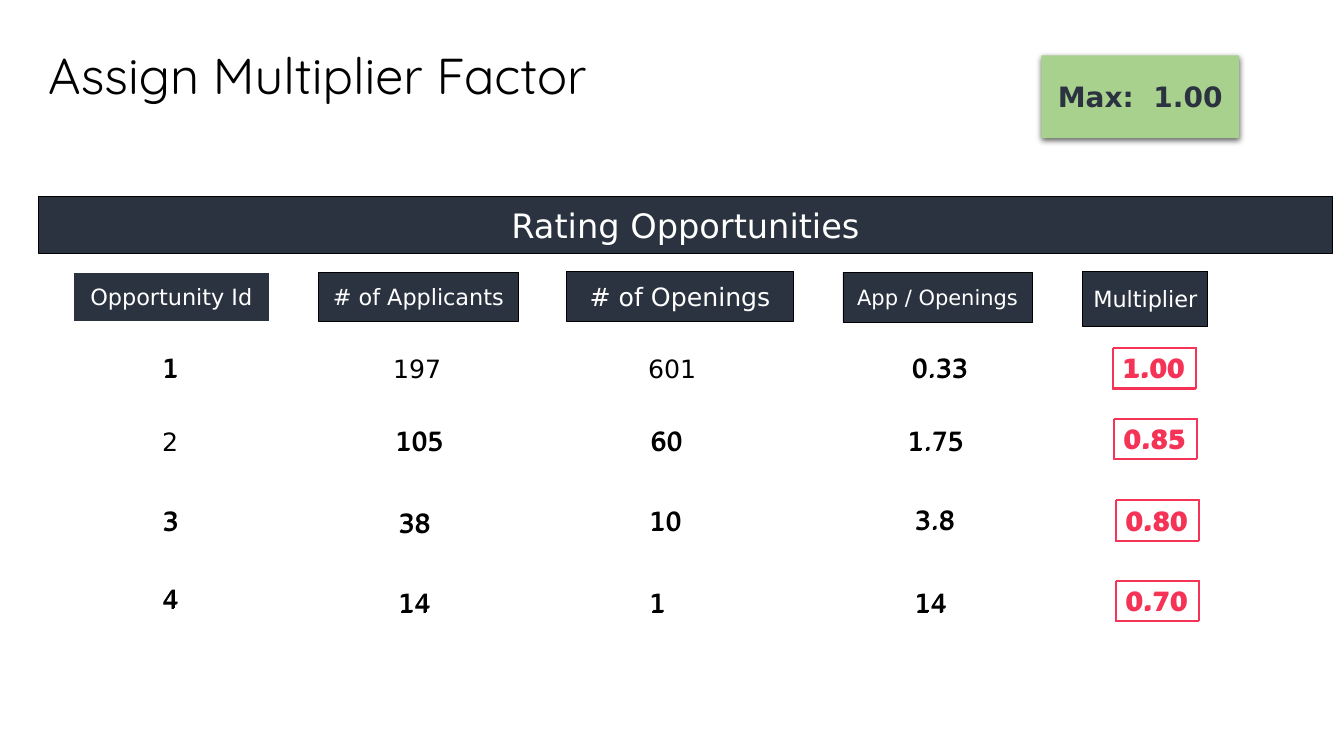
from lxml.etree import SubElement
from pptx import Presentation
from pptx.dml.color import RGBColor
from pptx.enum.shapes import MSO_SHAPE
from pptx.enum.text import MSO_ANCHOR, MSO_AUTO_SIZE, PP_ALIGN
from pptx.oxml.ns import qn
from pptx.util import Pt

PX = 9144  # 100 px to the inch
THEME = {
    "navy": "2B3340", "white": "FFFFFF", "black": "000000",
    "green": "A9D18E", "red": "F53357",
    "body": "DejaVu Sans", "head": "Quicksand",
    "title": 36, "band": 24, "max": 20, "cell": 18,
}


def write(shape, text, size, color, bold=False, align=PP_ALIGN.CENTER, font="body"):
    frame = shape.text_frame
    frame.word_wrap = True
    frame.vertical_anchor = MSO_ANCHOR.MIDDLE
    par = frame.paragraphs[0]
    par.text, par.alignment = text, align
    par.font.name = THEME[font]
    par.font.size = Pt(size)
    par.font.bold = bold
    par.font.color.rgb = RGBColor.from_string(THEME[color])
    return frame


def box(left, top, width, height, fill=None, line=None, weight=0.5):
    shape = slide.shapes.add_shape(
        MSO_SHAPE.RECTANGLE, left * PX, top * PX, width * PX, height * PX)
    shape.shadow.inherit = False
    if fill:
        shape.fill.solid()
        shape.fill.fore_color.rgb = RGBColor.from_string(THEME[fill])
    else:
        shape.fill.background()
    if line:
        shape.line.color.rgb = RGBColor.from_string(THEME[line])
        shape.line.width = Pt(weight)
    else:
        shape.line.fill.background()
    return shape


deck = Presentation()
deck.slide_width, deck.slide_height = 1333 * PX, 750 * PX
slide = deck.slides.add_slide(deck.slide_layouts[6])

# Column headers: text, left, top, width, height, size, line
heads = [
    ("# of Openings", 562, 269, 225, 50, 18, "black"),
    ("# of Applicants", 316, 270, 198, 49, 16, "black"),
    ("App / Openings", 836, 270, 188, 50, 15, "black"),
    ("Multiplier", 1074, 269, 124, 55, 16, "black"),
    ("Opportunity Id", 73, 270, 194, 49, 16, "white"),
]
for text, left, top, width, height, size, line in heads:
    write(box(left, top, width, height, "navy", line), text, size, "white")

# Band above the columns
band = box(38, 195, 1284, 56, "navy", "black")
write(band, "Rating Opportunities", THEME["band"], "white")

# Title
title = slide.shapes.add_textbox(38 * PX, 31 * PX, 1260 * PX, 94 * PX)
frame = write(title, "Assign Multiplier Factor", THEME["title"], "black",
              align=PP_ALIGN.LEFT, font="head")
frame.paragraphs[0].line_spacing = 0.9

# Highest multiplier, with a soft shadow below
peak = box(1033, 55, 196, 82, "green")
write(peak, "Max:  1.00", THEME["max"], "navy", bold=True)
glow = SubElement(peak._element.spPr.find(qn("a:effectLst")), qn("a:outerShdw"),
                  blurRad="57150", dist="19050", dir="5400000",
                  algn="ctr", rotWithShape="0")
tint = SubElement(glow, qn("a:srgbClr"), val=THEME["black"])
SubElement(tint, qn("a:alpha"), val="63000")

# Ratings: text, left, top in each row; the last one is the multiplier
rows = [
    [("1", 151, 346), ("197", 380, 346), ("601", 633, 346),
     ("0.33", 894, 346), ("1.00", 1103, 346)],
    [("2", 151, 418), ("105", 382, 418), ("60", 635, 418),
     ("1.75", 890, 418), ("0.85", 1104, 416)],
    [("3", 151, 497), ("38", 385, 499), ("10", 634, 497),
     ("3.8", 897, 496), ("0.80", 1106, 497)],
    [("4", 151, 575), ("14", 385, 579), ("1", 634, 579),
     ("14", 897, 579), ("0.70", 1106, 577)],
]
single = {"197", "601", "2"}  # values without a second layer

# Two layers, the back one shifted by a pixel
for shift in (1, 0):
    for row in rows:
        for col, (text, left, top) in enumerate(row):
            if shift and text in single:
                continue
            left, top = left + shift, top - shift
            rated = col == 4
            if rated:
                cell = box(left, top, 83, 40, line="red", weight=0.75)
            else:
                dots = text.count(".")
                width = 20 + 16 * (len(text) - dots) + 10 * dots
                cell = slide.shapes.add_textbox(
                    left * PX, top * PX, width * PX, 40 * PX)
            frame = write(cell, text, THEME["cell"], "red" if rated else "black",
                          bold=rated, align=PP_ALIGN.LEFT)
            frame.word_wrap = False
            frame.vertical_anchor = MSO_ANCHOR.TOP
            frame.auto_size = MSO_AUTO_SIZE.SHAPE_TO_FIT_TEXT

deck.save("out.pptx")
